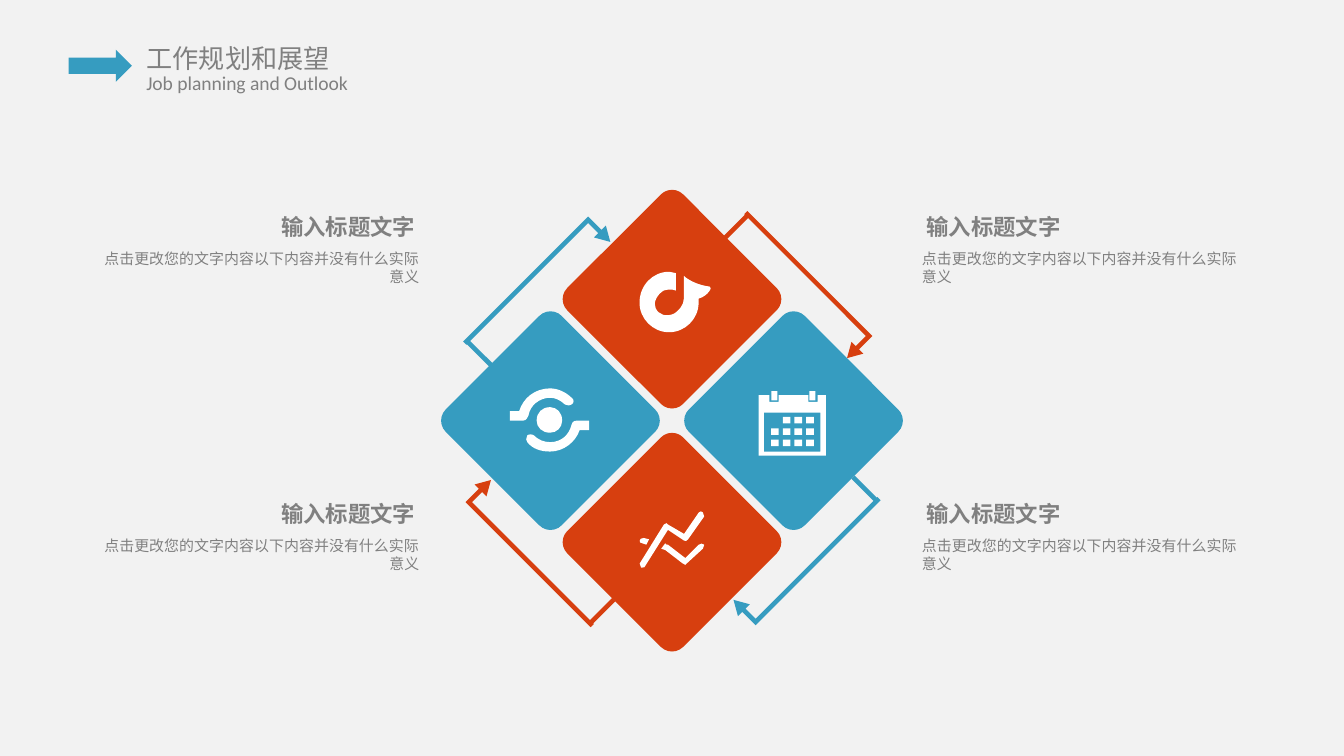
import math
from dataclasses import dataclass

import pptx
import pptx.dml.color
import pptx.enum.shapes
import pptx.enum.text
import pptx.util
from pptx.oxml.ns import qn

Pt = pptx.util.Pt
Shape = pptx.enum.shapes.MSO_SHAPE
Align = pptx.enum.text.PP_ALIGN
Anchor = pptx.enum.text.MSO_ANCHOR
AutoSize = pptx.enum.text.MSO_AUTO_SIZE


@dataclass(frozen=True)
class Theme:
    background: str = "F2F2F2"
    text: str = "808080"
    blue: str = "369CC0"
    red: str = "D73F0F"
    white: str = "FFFFFF"
    chinese_font: str = "Noto Sans CJK SC"
    latin_font: str = "Calibri"
    title_size: float = 14
    subtitle_size: float = 10.5
    heading_size: float = 12
    body_size: float = 8


THEME = Theme()
ICON_UNIT = 0.72  # points per step of the icon drawing grid

# Icon outlines: M starts a contour, L is a line, C is a curve
NOTE = """M 44 20 C 51 18 55 11 52 11 C 44 10 38 7 34 4 C 34 4 33 3 33 3 L 33 20
C 33 25 29 29 26 31 C 20 34 14 32 12 27 C 10 23 13 17 18 14 C 21 13 25 13 27 14
L 27 1 C 25 1 24 0 22 0 C 10 0 0 10 0 23 C 0 35 10 45 22 45
C 34 45 44 35 44 23 C 44 22 44 21 44 20"""
CALENDAR = """M 50 0 L 44 0 L 44 5 L 37 5 L 37 0 L 15 0 L 15 5 L 8 5 L 8 0
L 0 0 L 0 45 L 4 45 L 47 45 L 50 45 L 50 0 M 46 42 L 4 42 L 4 13 L 46 13 L 46 42"""
TREND = """M 21 14 L 33 22 C 34 23 35 22 36 21 L 48 4 C 48 3 48 2 47 1
C 46 0 45 0 44 1 L 33 17 L 21 10 C 21 9 20 9 20 9 C 19 9 19 10 18 10 L 0 39
C 0 40 0 41 1 42 C 1 42 2 42 2 42 C 3 42 4 42 4 41 C 4 41 21 14 21 14
M 44 25 L 34 35 L 21 25 C 21 25 21 25 20 25 L 19 24 L 16 28 L 19 29 L 32 39
C 33 40 33 40 34 40 C 34 40 35 40 35 39 L 47 28 C 48 27 48 26 48 25 C 47 24 45 24 44 25
M 2 24 L 5 25 L 7 21 L 3 20 C 1 20 0 21 0 22 C 0 23 0 24 2 24"""
ORBIT = """M 50 24 C 47 24 46 26 46 27 C 44 35 38 40 30 40 C 25 40 21 38 18 35
C 17 34 14 34 13 35 C 12 37 12 39 13 40 C 17 45 23 47 30 47
C 40 47 49 40 52 31 L 59 31 L 59 24 C 59 24 50 24 50 24
M 14 20 C 15 13 22 7 30 7 C 34 7 38 9 41 12 C 43 13 45 13 46 12
C 48 11 48 8 46 7 C 42 3 36 0 30 0 C 19 0 10 7 7 17 L 0 17 L 0 24 L 10 24
C 13 24 13 21 14 20
M 20 24 C 20 29 24 33 30 33 C 35 33 39 29 39 24 C 39 18 35 14 30 14
C 24 14 20 18 20 24"""


def bend_curves(shape, outline):
    """Join the three points of each C command into one cubic curve."""
    outline_path = next(shape._element.iter(qn("a:path")))
    lines = iter(outline_path.findall(qn("a:lnTo")))
    for command in outline.split():
        if command == "L":
            next(lines)
        elif command == "C":
            ends = [next(lines) for _ in range(3)]
            curve = outline_path.makeelement(qn("a:cubicBezTo"), {})
            ends[0].addprevious(curve)
            for end in ends:
                curve.append(end[0])
                outline_path.remove(end)


def write_text(box, text, *, size, font=THEME.chinese_font, color=THEME.text, bold=False,
               align=Align.LEFT, anchor=Anchor.TOP, insets=(7.2, 3.6), wrap=True, grow=True):
    frame = box.text_frame
    frame.word_wrap = wrap
    frame.auto_size = AutoSize.SHAPE_TO_FIT_TEXT if grow else AutoSize.NONE
    frame.vertical_anchor = anchor
    frame.margin_left = frame.margin_right = Pt(insets[0])
    frame.margin_top = frame.margin_bottom = Pt(insets[1])
    para = frame.paragraphs[0]
    para.alignment = align
    span = para.add_run()
    span.text = text
    span.font.size = Pt(size)
    span.font.bold = bold
    span.font.name = font
    span.font.color.rgb = pptx.dml.color.RGBColor.from_string(color)
    east_asian = span.font._element.makeelement(qn("a:ea"), {"typeface": font})
    span.font._element.find(qn("a:latin")).addnext(east_asian)


class SlideBuilder:
    def __init__(self, slide, theme):
        self.slide = slide
        self.theme = theme
        fill = slide.background.fill
        fill.solid()
        fill.fore_color.rgb = pptx.dml.color.RGBColor.from_string(theme.background)

    def paint(self, shape, color):
        shape.shadow.inherit = False
        shape.fill.solid()
        shape.fill.fore_color.rgb = pptx.dml.color.RGBColor.from_string(color)
        shape.line.fill.background()

    def title(self, text, left, top, width, height):
        box = self.slide.shapes.title
        box.left, box.top, box.width, box.height = map(Pt, (left, top, width, height))
        write_text(box, text, size=self.theme.title_size, wrap=False)

    def text(self, text, left, top, width, height, **style):
        box = self.slide.shapes.add_textbox(*map(Pt, (left, top, width, height)))
        write_text(box, text, **style)

    def shape(self, kind, left, top, width, height, color, rotation=0, flips="", adjustments=()):
        shape = self.slide.shapes.add_shape(kind, *map(Pt, (left, top, width, height)))
        self.paint(shape, color)
        shape.rotation = rotation
        for index, value in enumerate(adjustments):
            shape.adjustments[index] = value
        for axis in flips:
            shape._element.spPr.find(qn("a:xfrm")).set("flip" + axis, "1")

    def icon(self, outline, left, top):
        builder = None
        for contour in outline.split("M")[1:]:
            values = [float(token) * ICON_UNIT for token in contour.split() if token not in "LC"]
            points = [(Pt(left + x), Pt(top + y)) for x, y in zip(values[::2], values[1::2])]
            if builder is None:
                builder = self.slide.shapes.build_freeform(*points[0])
            else:
                builder.move_to(*points[0])
            builder.add_line_segments(points[1:], close=True)
        shape = builder.convert_to_shape()
        bend_curves(shape, outline)
        self.paint(shape, self.theme.white)

    def elbow_arrow(self, center_x, center_y, rotation, flipped, color):
        width, length, thickness = 18, 98, 2.5
        self.shape(Shape.BENT_ARROW, center_x - width / 2, center_y - length / 2, width, length,
                   color, rotation, "HV" if flipped else "", (0.137, 0.25, 0.436, 0))
        # Short foot across the tail end, turned with the arrow
        side = -1 if flipped else 1
        across, along = side * 1.3, side * 47.3
        angle = math.radians(rotation)
        foot_x = center_x + across * math.cos(angle) - along * math.sin(angle)
        foot_y = center_y + across * math.sin(angle) + along * math.cos(angle)
        self.shape(Shape.RECTANGLE, foot_x - width / 2, foot_y - thickness / 2, width, thickness,
                   color, rotation, "H" if flipped else "V")

    def tile(self, center_x, center_y, color):
        size = 87.8
        self.shape(Shape.ROUNDED_RECTANGLE, center_x - size / 2, center_y - size / 2, size, size,
                   color, 315, "V", (0.096,))


def main():
    theme = THEME
    deck = pptx.Presentation()
    deck.slide_width, deck.slide_height = Pt(720), Pt(405)
    page = SlideBuilder(deck.slides.add_slide(deck.slide_layouts[5]), theme)

    # Header
    page.title("工作规划和展望", 71.3, 19.1, 114.5, 24.5)
    page.text("Job planning and Outlook", 71.3, 34.4, 124.6, 20, size=theme.subtitle_size,
              font=theme.latin_font, wrap=False)
    page.shape(Shape.RIGHT_ARROW, 36.7, 26.6, 34, 17.3, theme.blue)

    # Elbow arrows around the diamond
    for center_x, center_y, rotation, flipped, color in (
            (289.1, 154.7, 45, False, theme.blue), (288.1, 295, 315, False, theme.red),
            (428.7, 154, 315, True, theme.red), (430.8, 296.3, 45, True, theme.blue)):
        page.elbow_arrow(center_x, center_y, rotation, flipped, color)

    # Captions at the four corners
    for heading_left, body_left, align in ((489.2, 493.9, Align.LEFT), (110.9, 54.7, Align.RIGHT)):
        for top in (113.8, 267.4):
            page.text("输入标题文字", heading_left, top, 118.8, 15.1, size=theme.heading_size,
                      bold=True, align=align, anchor=Anchor.MIDDLE, grow=False)
            page.text("点击更改您的文字内容以下内容并没有什么实际意义", body_left, top + 20.1,
                      170, 19.5, size=theme.body_size, align=align, insets=(0, 0))

    # Four tiles around the hub, each with its icon
    hub_x, hub_y, step = 360, 225.4, 65.1
    for across, down, color, outline, icon_left, icon_top in (
            (1, 0, theme.blue, CALENDAR, 406.4, 211.7), (0, 1, theme.red, TREND, 342.7, 273.8),
            (-1, 0, theme.blue, ORBIT, 273.1, 208.1), (0, -1, theme.red, NOTE, 342.6, 145.6)):
        page.tile(hub_x + across * step, hub_y + down * step, color)
        page.icon(outline, icon_left, icon_top)

    # Calendar days and binder rings; the first day is left out
    for day in range(1, 12):
        row, column = divmod(day, 4)
        page.shape(Shape.RECTANGLE, 413.1 + column * 6.25, 223.4 + row * 6.1, 4.1, 3.5, theme.white)
    for left in (413.3, 433.6):
        page.shape(Shape.RECTANGLE, left, 209.5, 3.2, 5, theme.white)

    deck.save("out.pptx")


if __name__ == "__main__":
    main()
